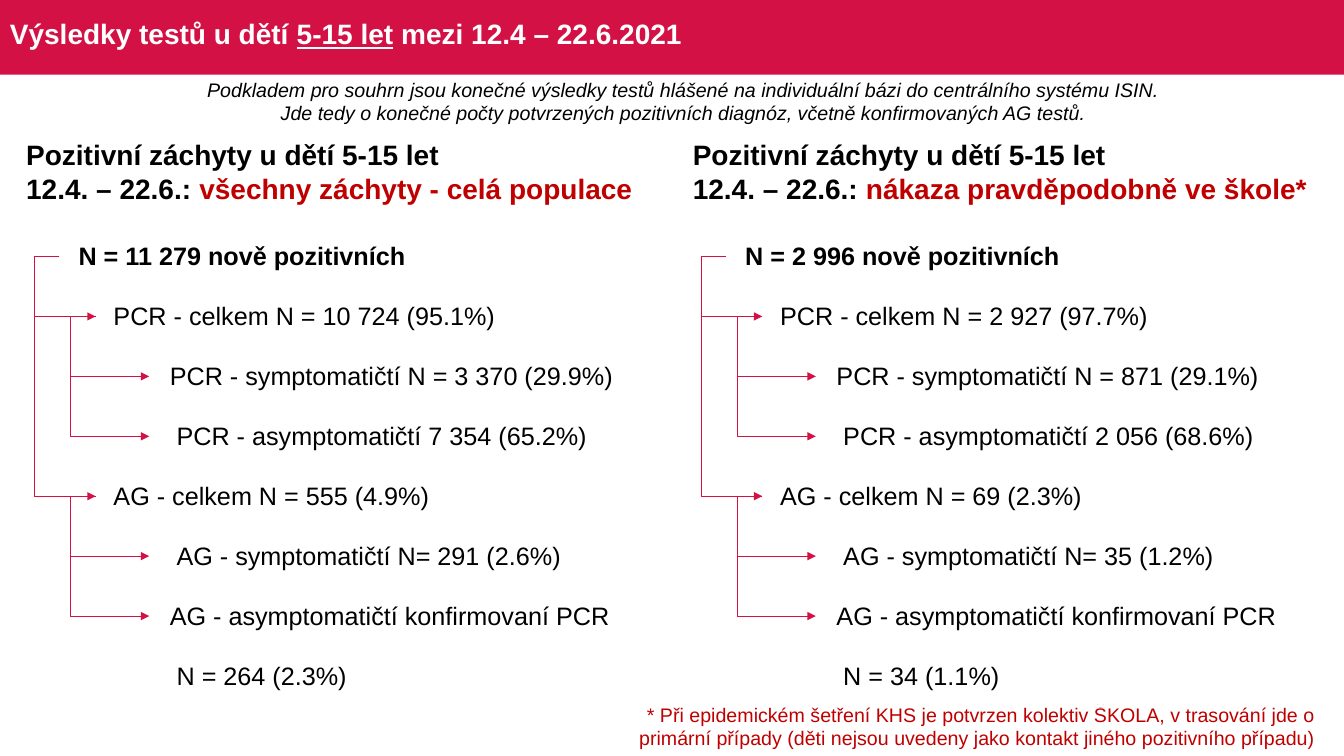
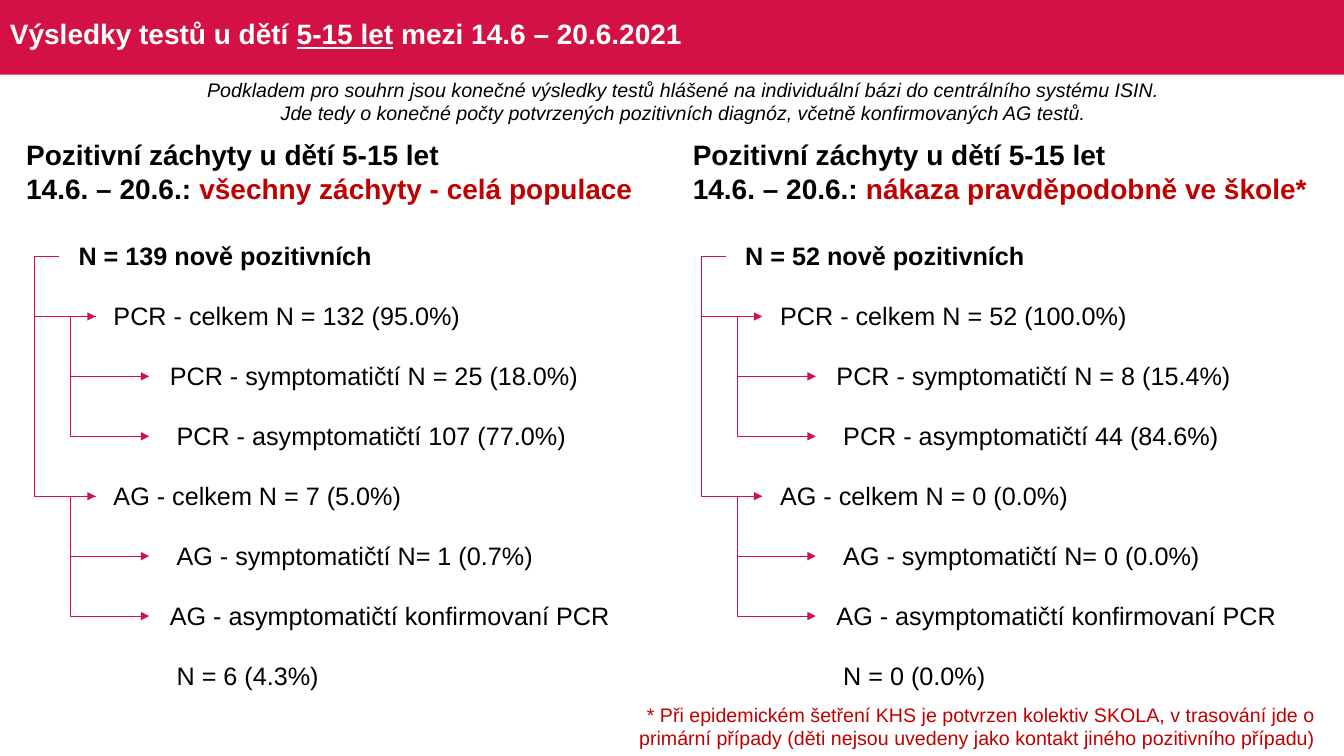
from lxml.etree import SubElement
from pptx import Presentation
from pptx.dml.color import RGBColor
from pptx.enum.shapes import MSO_CONNECTOR, MSO_SHAPE
from pptx.enum.text import MSO_ANCHOR, PP_ALIGN
from pptx.oxml.ns import qn
from pptx.util import Cm, Pt

COLORS = {"band": "D31145", "accent": "C00000", "text": "000000", "title": "FFFFFF"}
FONT = "Arial"

SOURCE_NOTE = [
    "Podkladem pro souhrn jsou konečné výsledky testů hlášené na individuální bázi do centrálního systému ISIN.",
    "Jde tedy o konečné počty potvrzených pozitivních diagnóz, včetně konfirmovaných AG testů.",
]
FOOTNOTE = (
    "* Při epidemickém šetření KHS je potvrzen kolektiv ŠKOLA, v trasování jde o "
    "primární případy (děti nejsou uvedeny jako kontakt jiného pozitivního případu)"
)
HEADING = "Pozitivní záchyty u dětí 5-15 let"
SCOPES = ["všechny záchyty - celá populace", "nákaza pravděpodobně ve škole*"]

# Row wording and left indent in cm
ROWS = [
    ("N = {} nově pozitivních", 0.02),
    ("PCR - celkem N = {}", 0.9),
    ("PCR - symptomatičtí N = {}", 2.32),
    ("PCR - asymptomatičtí {}", 2.49),
    ("AG - celkem N = {}", 0.9),
    ("AG - symptomatičtí N= {}", 2.49),
    ("AG - asymptomatičtí konfirmovaní PCR", 2.32),
    ("N = {}", 2.49),
]
# Parent row and its child rows
BRANCHES = {0: (4, 1), 1: (2, 3), 4: (5, 6)}

# Values follow the rows; the row without a number has an empty value
PERIODS = [
    {
        "title": "12.4 – 22.6.2021",
        "range": "12.4. – 22.6.: ",
        "values": [
            ["11 279", "10 724 (95.1%)", "3 370 (29.9%)", "7 354 (65.2%)",
             "555 (4.9%)", "291 (2.6%)", "", "264 (2.3%)"],
            ["2 996", "2 927 (97.7%)", "871 (29.1%)", "2 056 (68.6%)",
             "69 (2.3%)", "35 (1.2%)", "", "34 (1.1%)"],
        ],
    },
    {
        "title": "14.6 – 20.6.2021",
        "range": "14.6. – 20.6.: ",
        "values": [
            ["139", "132 (95.0%)", "25 (18.0%)", "107 (77.0%)",
             "7 (5.0%)", "1 (0.7%)", "", "6 (4.3%)"],
            ["52", "52 (100.0%)", "8 (15.4%)", "44 (84.6%)",
             "0 (0.0%)", "0 (0.0%)", "", "0 (0.0%)"],
        ],
    },
]

SLIDE_WIDTH, SLIDE_HEIGHT = 33.87, 19.05
BAND_HEIGHT = 1.88
COLUMN_PITCH = 16.8
TABLE_LEFT, TABLE_TOP, TABLE_WIDTH = 1.96, 5.71, 15.1
ROW_HEIGHT = 1.51
# Start, elbow and arrow tip of a branch, in cm from the column's left edge
ROOT_STOPS = (1.5, 0.87, 2.41)
GROUP_STOPS = (2.41, 1.78, 3.76)


def style(font, size, color="text", bold=False, italic=False):
    font.name, font.size = FONT, Pt(size)
    font.bold, font.italic = bold, italic
    font.color.rgb = RGBColor.from_string(COLORS[color])


def add_text(slide, box, lines, size, align=PP_ALIGN.LEFT, wrap=True, **look):
    """Add a text box; each line is a list of (text, looks of its own)."""
    frame = slide.shapes.add_textbox(*map(Cm, box)).text_frame
    frame.word_wrap = wrap
    for index, pieces in enumerate(lines):
        paragraph = frame.paragraphs[0] if index == 0 else frame.add_paragraph()
        paragraph.alignment = align
        for text, own_look in pieces:
            run = paragraph.add_run()
            run.text = text
            style(run.font, size, **{**look, **own_look})
    return frame


def add_frame(slide, period):
    """Add the title band, the source note and the footnote."""
    band = slide.shapes.add_shape(
        MSO_SHAPE.RECTANGLE, 0, 0, Cm(SLIDE_WIDTH), Cm(BAND_HEIGHT))
    band.shadow.inherit = False
    band.fill.solid()
    band.fill.fore_color.rgb = RGBColor.from_string(COLORS["band"])
    band.line.fill.background()

    pieces = ["Výsledky testů u dětí ", "5-15 let", f" mezi {period['title']}"]
    title = add_text(slide, (0, 0.1, 33.4, 1.6), [[(text, {}) for text in pieces]],
                     20, color="title", bold=True)
    title.vertical_anchor = MSO_ANCHOR.MIDDLE
    title.paragraphs[0].line_spacing = 0.9
    title.paragraphs[0].runs[1].font.underline = True

    add_text(slide, (4.55, 1.83, 25.35, 1.45), [[(line, {})] for line in SOURCE_NOTE],
             14, PP_ALIGN.CENTER, italic=True)
    add_text(slide, (15.75, 17.58, 17.65, 1.45), [[(FOOTNOTE, {})]],
             14, PP_ALIGN.RIGHT, color="accent")


def add_counts(slide, left, values):
    table = slide.shapes.add_table(
        len(ROWS), 1, Cm(left + TABLE_LEFT), Cm(TABLE_TOP),
        Cm(TABLE_WIDTH), Cm(ROW_HEIGHT * len(ROWS))).table
    table.first_row = table.horz_banding = False
    for index, ((label, indent), value) in enumerate(zip(ROWS, values)):
        table.rows[index].height = Cm(ROW_HEIGHT)
        cell = table.cell(index, 0)
        cell.fill.background()
        cell.vertical_anchor = MSO_ANCHOR.MIDDLE
        cell.margin_left = Cm(indent)
        cell.margin_right = cell.margin_top = Cm(0.02)
        cell.margin_bottom = 0
        cell.text_frame.text = label.format(value)
        style(cell.text_frame.paragraphs[0].runs[0].font, 18, bold=index == 0)


def row_middle(index):
    return TABLE_TOP + ROW_HEIGHT * (index + 0.5)


def add_branch(slide, left, stops, parent, child):
    """Add an elbow arrow that leaves its start leftwards."""
    start, elbow, tip = stops
    connector = slide.shapes.add_connector(
        MSO_CONNECTOR.ELBOW, Cm(left + start), Cm(row_middle(parent)),
        Cm(left + tip), Cm(row_middle(child)))
    connector.line.color.rgb = RGBColor.from_string(COLORS["band"])
    connector.line.width = Pt(0.5)

    properties = connector._element.spPr
    # A half turn with both flips keeps the ends in place
    transform = properties.find(qn("a:xfrm"))
    for name, value in (("rot", "10800000"), ("flipH", "1"), ("flipV", "1")):
        transform.set(name, value)
    adjustments = properties.find(qn("a:prstGeom")).get_or_add_avLst()
    ratio = round((elbow - start) / (tip - start) * 100000)
    SubElement(adjustments, qn("a:gd"), name="adj1", fmla=f"val {ratio}")
    SubElement(properties.find(qn("a:ln")), qn("a:tailEnd"), type="triangle")
    SubElement(properties, qn("a:effectLst"))


def add_column(slide, left, period_range, scope, values):
    add_counts(slide, left, values)
    add_text(slide, (left + 0.41, 3.35, 16.1, 1.96),
             [[(HEADING, {})], [(period_range, {}), (scope, {"color": "accent"})]],
             20, wrap=False, bold=True)
    for parent, children in BRANCHES.items():
        stops = GROUP_STOPS if parent else ROOT_STOPS
        for child in children:
            add_branch(slide, left, stops, parent, child)


def main():
    presentation = Presentation()
    presentation.slide_width = Cm(SLIDE_WIDTH)
    presentation.slide_height = Cm(SLIDE_HEIGHT)
    for period in PERIODS:
        slide = presentation.slides.add_slide(presentation.slide_layouts[6])
        add_frame(slide, period)
        for index, (scope, values) in enumerate(zip(SCOPES, period["values"])):
            add_column(slide, index * COLUMN_PITCH, period["range"], scope, values)
    presentation.save("out.pptx")


if __name__ == "__main__":
    main()
